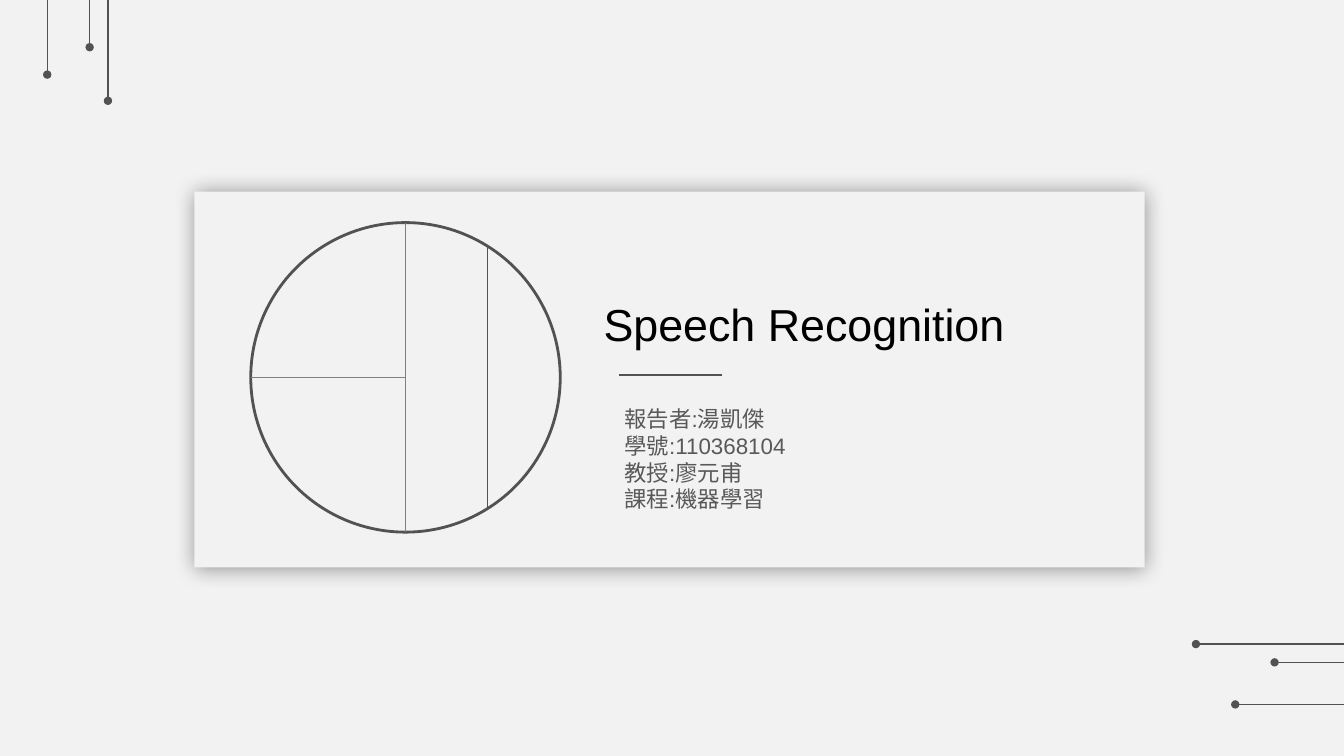
from dataclasses import dataclass
from math import sqrt

from lxml import etree
from pptx import Presentation
from pptx import util as u
from pptx.dml.color import RGBColor
from pptx.enum import shapes, text
from pptx.oxml import ns


@dataclass(frozen=True)
class Theme:
    """Colours, font and sizes of the slide."""
    paper: str = "F2F2F2"
    ink: str = "525252"
    faint: str = "7F7F7F"
    title: str = "000000"
    body: str = "595959"
    font: str = "Arial"
    title_size: int = 32
    body_size: int = 16


@dataclass(frozen=True)
class Box:
    """A region in centimetres."""
    left: float
    top: float
    width: float
    height: float

    def inner(self, dx, dy, width, height):
        """Return a box placed relative to this one."""
        return Box(self.left + dx, self.top + dy, width, height)

    def lengths(self):
        """Return the four lengths that shapes need."""
        return [u.Cm(v) for v in (self.left, self.top, self.width, self.height)]


THEME = Theme()
SLIDE = Box(0, 0, 33.87, 19.05)
CARD = SLIDE.inner(4.9, 4.83, 23.95, 9.47)
TITLE = "Speech Recognition"
DETAILS = ["報告者:湯凱傑", "學號:110368104", "教授:廖元甫", "課程:機器學習"]
TOP_THREADS = [(2.72, 2.54), (2.26, 1.19), (1.19, 1.88)]
RIGHT_THREADS = [(16.23, 3.73), (16.69, 1.75), (17.75, 2.74)]


def colour(name):
    """Turn a hex string into a colour."""
    return RGBColor.from_string(name)


def add_line(page, start, end, ink=THEME.ink, width=1, dot=False):
    """Draw a straight line, with a dot at its end if asked."""
    points = [u.Cm(v) for v in (*start, *end)]
    line = page.shapes.add_connector(shapes.MSO_CONNECTOR.STRAIGHT, *points)
    line.line.color.rgb = colour(ink)
    line.line.width = u.Pt(width)
    if dot:
        etree.SubElement(line.line._get_or_add_ln(), ns.qn("a:tailEnd"), type="oval")
    etree.SubElement(line._element.spPr, ns.qn("a:effectLst"))


def add_text(page, box, lines, size, ink):
    """Write one paragraph per line in a text box."""
    frame = page.shapes.add_textbox(*box.lengths()).text_frame
    frame.word_wrap = True
    frame.auto_size = text.MSO_AUTO_SIZE.SHAPE_TO_FIT_TEXT
    frame.text = "\n".join(lines)
    for para in frame.paragraphs:
        para.font.name = THEME.font
        para.font.size = u.Pt(size)
        para.font.color.rgb = colour(ink)


def add_panel(page, box):
    """Draw the raised panel with its soft shadow."""
    panel = page.shapes.add_shape(shapes.MSO_SHAPE.RECTANGLE, *box.lengths())
    panel.fill.solid()
    panel.fill.fore_color.rgb = colour(THEME.paper)
    panel.line.fill.background()
    panel.shadow.inherit = False
    effects = panel._element.spPr.find(ns.qn("a:effectLst"))
    shadow = etree.SubElement(
        effects, ns.qn("a:outerShdw"), blurRad=str(u.Pt(15)),
        dist=str(u.Pt(1)), dir="2700000", algn="ctr", rotWithShape="0")
    black = etree.SubElement(shadow, ns.qn("a:srgbClr"), val="000000")
    etree.SubElement(black, ns.qn("a:alpha"), val="40000")


def add_emblem(page, box):
    """Draw the circle and the lines that divide it."""
    circle = page.shapes.add_shape(shapes.MSO_SHAPE.OVAL, *box.lengths())
    circle.fill.background()
    circle.line.color.rgb = colour(THEME.ink)
    circle.line.width = u.Pt(2)
    circle.shadow.inherit = False
    radius = box.width / 2
    x, y = box.left + radius, box.top + radius
    offset = 2.07
    half = sqrt(radius ** 2 - offset ** 2)
    add_line(page, (x, box.top), (x, box.top + box.height), THEME.faint, 0.5)
    add_line(page, (x + offset, y - half), (x + offset, y + half))
    add_line(page, (box.left, y), (x, y), THEME.faint, 0.5)


def add_card(page, box):
    """Place the panel, emblem, title, rule and details."""
    add_panel(page, box)
    add_emblem(page, box.inner(1.42, 0.78, 7.8, 7.8))
    add_text(page, box.inner(10.06, 2.51, 12.07, 1.63), [TITLE],
             THEME.title_size, THEME.title)
    rule = box.inner(10.7, 4.62, 2.59, 0)
    add_line(page, (rule.left, rule.top), (rule.left + rule.width, rule.top))
    add_text(page, box.inner(10.59, 5.25, 7.32, 3), DETAILS,
             THEME.body_size, THEME.body)


def add_threads(page, box):
    """Hang dotted threads from the top and right edges."""
    right = box.left + box.width
    for y, length in RIGHT_THREADS:
        add_line(page, (right, box.top + y), (right - length, box.top + y), dot=True)
    for x, length in TOP_THREADS:
        add_line(page, (box.left + x, box.top), (box.left + x, box.top + length), dot=True)


def main():
    """Build and save the deck."""
    deck = Presentation()
    deck.slide_width, deck.slide_height = u.Cm(SLIDE.width), u.Cm(SLIDE.height)
    page = deck.slides.add_slide(deck.slide_layouts[6])
    page.background.fill.solid()
    page.background.fill.fore_color.rgb = colour(THEME.paper)
    add_card(page, CARD)
    add_threads(page, SLIDE)
    deck.save("out.pptx")


if __name__ == "__main__":
    main()
